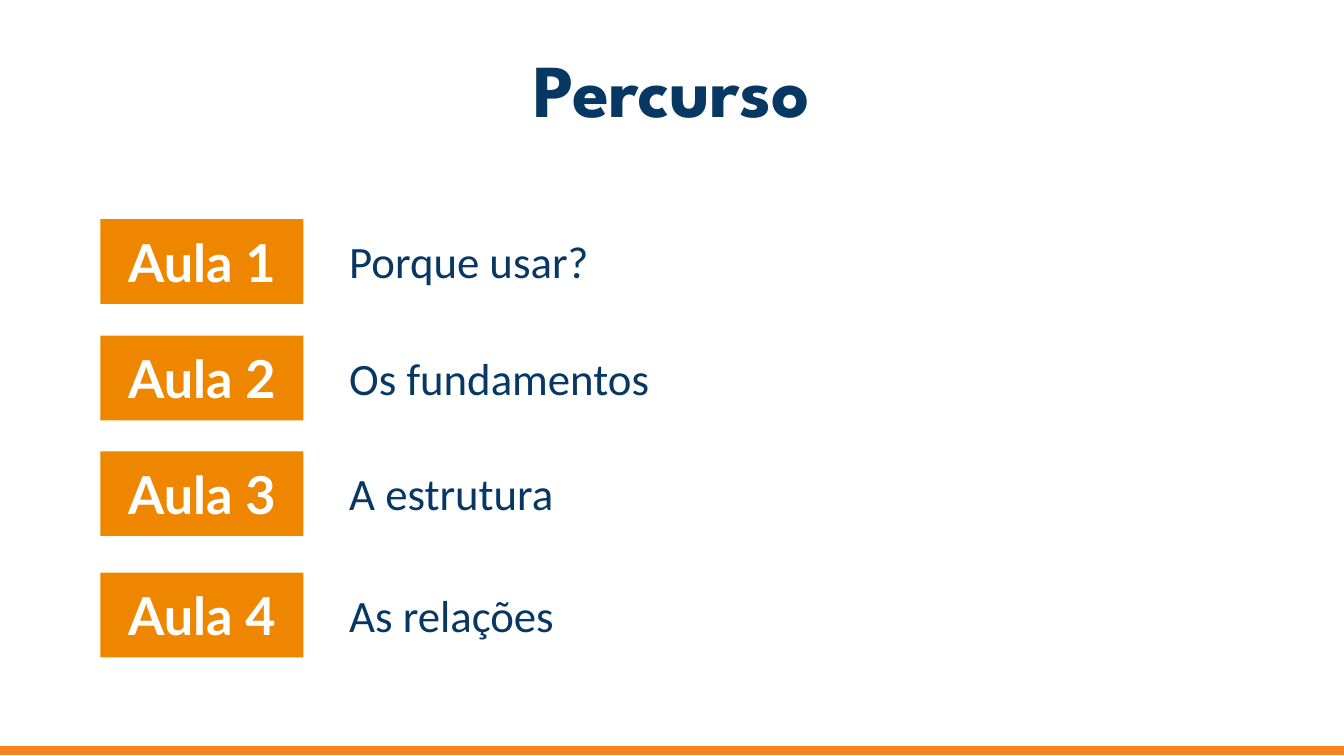
"""Build the course path slide listing four lessons and their topics."""
from dataclasses import dataclass

from pptx import Presentation
from pptx import util as u
from pptx.dml.color import RGBColor
from pptx.enum import shapes, text

NAVY = RGBColor(0x07, 0x37, 0x63)
ORANGE = RGBColor(0xEF, 0x86, 0x00)
FOOTER_ORANGE = RGBColor(0xF7, 0x83, 0x21)
WHITE = RGBColor(0xFF, 0xFF, 0xFF)

TITLE_FONT = {"name": "League Spartan", "size": u.Pt(40), "bold": True}
TAG_FONT = {"name": "Lato", "size": u.Pt(28), "bold": True}
TOPIC_FONT = {"name": "Calibri", "size": u.Pt(24), "bold": False}

SLIDE_WIDTH, SLIDE_HEIGHT = 720, 405
TAG_LEFT, TAG_WIDTH, TAG_HEIGHT = 53.8, 108.7, 45.4
TOPIC_LEFT, TOPIC_DROP, TOPIC_HEIGHT = 180, 4.4, 36


@dataclass(frozen=True)
class Lesson:
    tag: str
    topic: str
    top: float
    topic_width: float


LESSONS = (
    Lesson("Aula 1", "Porque usar?", 117.4, 388.8),
    Lesson("Aula 2", "Os fundamentos", 179.8, 246.2),
    Lesson("Aula 3", "A estrutura", 241.8, 350),
    Lesson("Aula 4", "As relações", 306.8, 350),
)


def box(left: float, top: float, width: float, height: float) -> tuple:
    """Convert a rectangle in points to slide lengths."""
    return tuple(u.Pt(length) for length in (left, top, width, height))


def write(shape, wording: str, style: dict, color: RGBColor,
          align=text.PP_ALIGN.CENTER, anchor=text.MSO_ANCHOR.MIDDLE,
          inset: float = 7.2) -> None:
    """Put one styled paragraph into a shape."""
    frame = shape.text_frame
    layout = {
        "word_wrap": True,
        "vertical_anchor": anchor,
        "margin_left": u.Pt(7.2),
        "margin_right": u.Pt(7.2),
        "margin_top": u.Pt(inset),
        "margin_bottom": u.Pt(inset),
    }
    for name, value in layout.items():
        setattr(frame, name, value)
    paragraph = frame.paragraphs[0]
    paragraph.alignment = align
    run = paragraph.add_run()
    run.text = wording
    for name, value in style.items():
        setattr(run.font, name, value)
    run.font.color.rgb = color


def draw_bar(slide, place: tuple, color: RGBColor):
    """Draw a plain filled rectangle without an outline."""
    bar = slide.shapes.add_shape(shapes.MSO_SHAPE.RECTANGLE, *place)
    bar.shadow.inherit = False
    bar.fill.solid()
    bar.fill.fore_color.rgb = color
    bar.line.fill.background()
    return bar


def draw_lesson(slide, lesson: Lesson) -> None:
    """Draw a lesson tag with its topic beside it."""
    tag = draw_bar(slide, box(TAG_LEFT, lesson.top, TAG_WIDTH, TAG_HEIGHT), ORANGE)
    write(tag, lesson.tag, TAG_FONT, WHITE)
    topic = slide.shapes.add_textbox(
        *box(TOPIC_LEFT, lesson.top + TOPIC_DROP, lesson.topic_width, TOPIC_HEIGHT))
    write(topic, lesson.topic, TOPIC_FONT, NAVY,
          text.PP_ALIGN.LEFT, text.MSO_ANCHOR.TOP, 3.6)
    topic.text_frame.auto_size = text.MSO_AUTO_SIZE.SHAPE_TO_FIT_TEXT


def main() -> None:
    """Assemble and save the slide."""
    deck = Presentation()
    deck.slide_width, deck.slide_height = u.Pt(SLIDE_WIDTH), u.Pt(SLIDE_HEIGHT)
    slide = deck.slides.add_slide(deck.slide_layouts[6])

    title = slide.shapes.add_textbox(*box(24.5, 23.8, 671, 46.8))
    write(title, "Percurso", TITLE_FONT, NAVY)

    footer = draw_bar(slide, box(0, 399.8, SLIDE_WIDTH, 4.6), FOOTER_ORANGE)
    footer.line.color.rgb = FOOTER_ORANGE
    footer.line.width = u.Pt(0.75)

    for lesson in LESSONS:
        draw_lesson(slide, lesson)

    deck.save("out.pptx")


if __name__ == "__main__":
    main()
